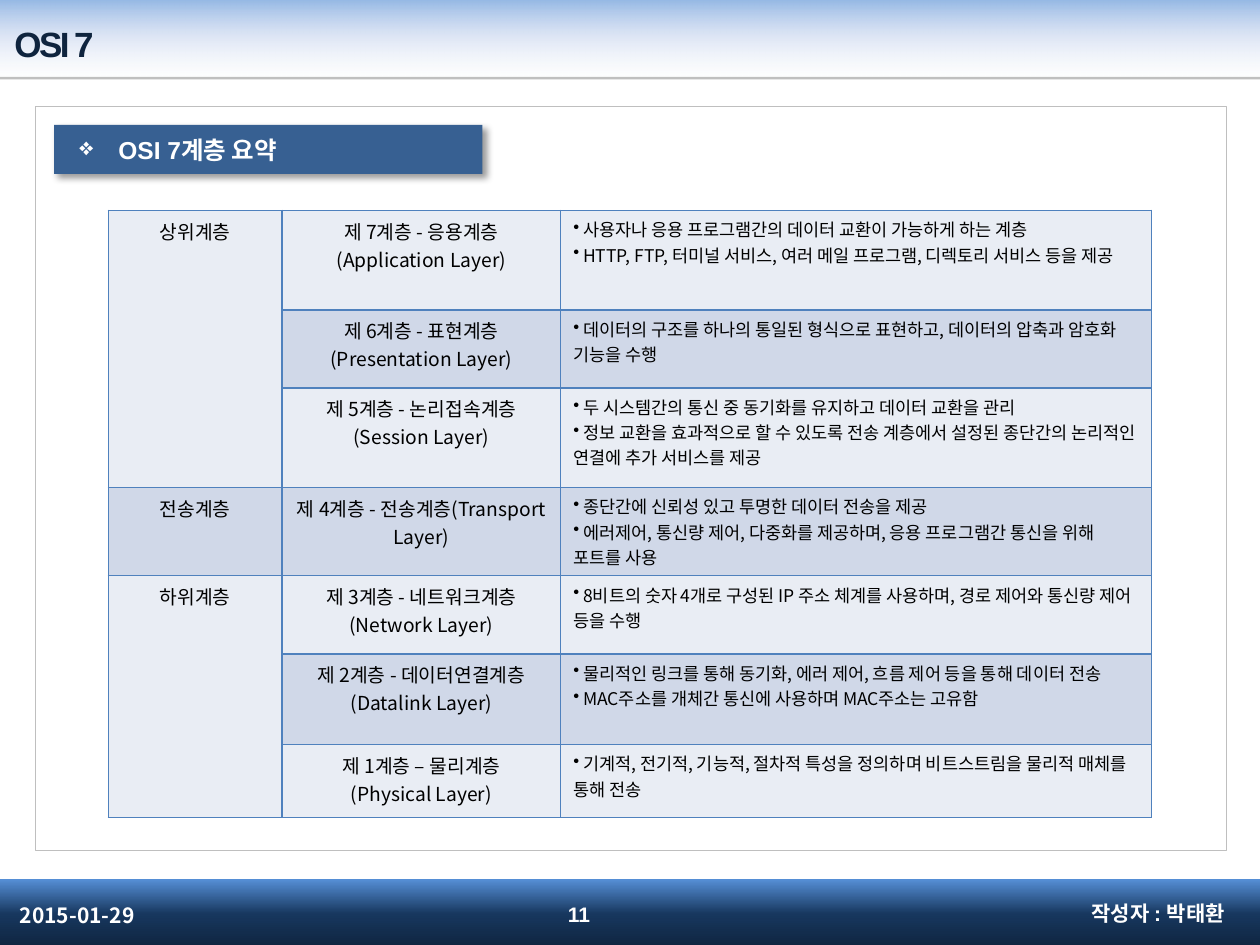
from dataclasses import dataclass

from lxml.etree import SubElement
from pptx import Presentation
from pptx.dml.color import RGBColor
from pptx.enum.shapes import MSO_SHAPE as Preset
from pptx.enum.text import MSO_ANCHOR as Anchor, PP_ALIGN as Align
from pptx.oxml import parse_xml
from pptx.oxml.ns import qn
from pptx.util import Inches, Pt


@dataclass(frozen=True)
class Theme:
    latin: str = "Arial"
    korean: str = "Noto Sans CJK KR"
    white: str = "FFFFFF"
    black: str = "000000"
    navy: str = "0F243E"
    banner: str = "376092"
    grey: str = "BFBFBF"
    border: str = "4F81BD"
    light_row: str = "E9EDF4"
    dark_row: str = "D0D8E8"
    # Gradient stops: position, colour, opacity (all but colour in percent)
    header: tuple = ((0, "8EB4E3", 100), (50, "C2D1ED", 50), (100, "E1E8F5", 0))
    footer: tuple = ((0, "558ED5", 100), (50, "17375E", 100), (100, "0F243E", 100))
    title_size: int = 20
    banner_size: int = 14
    footer_size: int = 12
    layer_size: int = 11
    detail_size: int = 10


theme = Theme()
NAMESPACE = 'xmlns:a="http://schemas.openxmlformats.org/drawingml/2006/main"'


def write_text(frame, lines, size, color, font=theme.korean, bold=False,
               align=Align.LEFT, bullet=None, indent=0, spacing=None):
    for index, line in enumerate(lines):
        paragraph = frame.paragraphs[0] if index == 0 else frame.add_paragraph()
        paragraph.alignment = align
        if bullet:
            properties = paragraph._p.get_or_add_pPr()
            properties.set("marL", str(Inches(indent)))
            properties.set("indent", str(-Inches(indent)))
            SubElement(properties, qn("a:buChar"), char=bullet)
        run = paragraph.add_run()
        run.text = line
        run.font.size = Pt(size)
        run.font.bold = bold
        run.font.name = font
        run.font.color.rgb = RGBColor.from_string(color)
        SubElement(run._r.rPr, qn("a:ea"), typeface=theme.korean)
        if spacing is not None:
            run._r.rPr.set("spc", str(round(spacing * 100)))


def add_box(left, top, width, height, fill=None, line=None):
    shape = slide.shapes.add_shape(
        Preset.RECTANGLE, Inches(left), Inches(top), Inches(width), Inches(height))
    shape.shadow.inherit = False
    if fill:
        shape.fill.solid()
        shape.fill.fore_color.rgb = RGBColor.from_string(fill)
    else:
        shape.fill.background()
    if line:
        shape.line.color.rgb = RGBColor.from_string(line)
        shape.line.width = Pt(0.25)
    else:
        shape.line.fill.background()
    return shape


presentation = Presentation()
presentation.slide_width = Inches(10)
presentation.slide_height = Inches(7.5)
slide = presentation.slides.add_slide(presentation.slide_layouts[6])

# Header and footer bands
for top, height, stops in ((-0.03, 0.66, theme.header), (6.98, 0.55, theme.footer)):
    band = add_box(-0.04, top, 10.04, height)
    stop_xml = "".join(
        f'<a:gs pos="{position * 1000}"><a:srgbClr val="{color}">'
        f'<a:alpha val="{opacity * 1000}"/></a:srgbClr></a:gs>'
        for position, color, opacity in stops)
    gradient = parse_xml(
        f'<a:gradFill {NAMESPACE} rotWithShape="1"><a:gsLst>{stop_xml}</a:gsLst>'
        '<a:lin ang="5400000" scaled="0"/></a:gradFill>')
    properties = band._element.spPr
    properties.replace(properties.find(qn("a:noFill")), gradient)

# Header rule and content frame
add_box(0, 0.61, 10, 0.02, fill=theme.grey)
add_box(0.28, 0.84, 9.45, 5.91, line=theme.grey)

# Section banner
banner = add_box(0.43, 0.99, 3.4, 0.39, fill=theme.banner)
effects = banner._element.spPr.find(qn("a:effectLst"))
effects.append(parse_xml(
    f'<a:outerShdw {NAMESPACE} blurRad="{Pt(4)}" dist="{Pt(3)}" dir="2700000" '
    f'algn="tl" rotWithShape="0"><a:srgbClr val="{theme.black}">'
    '<a:alpha val="40000"/></a:srgbClr></a:outerShdw>'))
banner.text_frame.margin_left = Inches(0.2)
banner.text_frame.vertical_anchor = Anchor.MIDDLE
write_text(banner.text_frame, ["OSI 7계층 요약"], theme.banner_size, theme.white,
           font=theme.latin, bold=True, bullet="❖", indent=0.31)

# Title and footer texts
footer_style = dict(size=theme.footer_size, color=theme.white)
labels = [
    ((-0.04, 0.11, 8.76, 0.47), " OSI 7",
     dict(size=theme.title_size, color=theme.navy, font=theme.latin, spacing=-1.5)),
    ((6.65, 7.05, 3.17, 0.4), "작성자 : 박태환",
     dict(footer_style, font=theme.latin, align=Align.RIGHT)),
    ((0.06, 7.06, 2.33, 0.4), "2015-01-29", footer_style),
    ((3.43, 7.06, 2.33, 0.39), "11",
     dict(footer_style, font=theme.latin, align=Align.CENTER)),
]
for position, text, style in labels:
    text_box = slide.shapes.add_textbox(*(Inches(value) for value in position))
    text_box.text_frame.word_wrap = True
    text_box.text_frame.vertical_anchor = Anchor.MIDDLE
    write_text(text_box.text_frame, [text], bold=True, **style)

# Layer table: group, layer name, details
layers = [
    ("상위계층", ["제 7계층 - 응용계층(Application Layer)"],
     [" 사용자나 응용 프로그램간의 데이터 교환이 가능하게 하는 계층",
      " HTTP, FTP, 터미널 서비스, 여러 메일 프로그램, 디렉토리 서비스 등을 제공"]),
    (None, ["제 6계층 - 표현계층(Presentation Layer)"],
     [" 데이터의 구조를 하나의 통일된 형식으로 표현하고, 데이터의 압축과 암호화 기능을 수행"]),
    (None, ["제 5계층 - 논리접속계층(Session Layer)"],
     [" 두 시스템간의 통신 중 동기화를 유지하고 데이터 교환을 관리",
      " 정보 교환을 효과적으로 할 수 있도록 전송 계층에서 설정된 종단간의 논리적인 연결에 "
      "추가 서비스를 제공"]),
    ("전송계층", ["제 4계층 - 전송계층(Transport Layer)"],
     [" 종단간에 신뢰성 있고 투명한 데이터 전송을 제공",
      " 에러제어, 통신량 제어, 다중화를 제공하며, 응용 프로그램간 통신을 위해 포트를 사용"]),
    ("하위계층", ["제 3계층 - 네트워크계층(Network Layer)"],
     [" 8비트의 숫자 4개로 구성된 IP 주소 체계를 사용하며, 경로 제어와 통신량 제어 등을 수행"]),
    (None, ["제 2계층 - 데이터연결계층(Datalink Layer)"],
     [" 물리적인 링크를 통해 동기화, 에러 제어, 흐름 제어 등을 통해 데이터 전송",
      " MAC주소를 개체간 통신에 사용하며 MAC주소는 고유함"]),
    (None, ["제 1계층 – 물리계층", "(Physical Layer)"],
     [" 기계적, 전기적, 기능적, 절차적 특성을 정의하며 비트스트림을 물리적 매체를 통해 전송"]),
]
column_widths = [1.38, 2.21, 4.69]
row_heights = [0.79, 0.62, 0.79, 0.7, 0.62, 0.72, 0.58]
table = slide.shapes.add_table(
    len(layers), len(column_widths), Inches(0.86), Inches(1.67),
    Inches(sum(column_widths)), Inches(sum(row_heights))).table
for column, width in zip(table.columns, column_widths):
    column.width = Inches(width)
for row, height in zip(table.rows, row_heights):
    row.height = Inches(height)
for first_row, last_row in ((0, 2), (4, 6)):
    table.cell(first_row, 0).merge(table.cell(last_row, 0))

name_style = dict(size=theme.layer_size, color=theme.black, align=Align.CENTER)
detail_style = dict(size=theme.detail_size, color=theme.black, bullet="•")
for row_index, (group, names, details) in enumerate(layers):
    row_fill = theme.dark_row if row_index % 2 else theme.light_row
    contents = (([group] if group else [], name_style),
                (names, name_style), (details, detail_style))
    for column_index, (lines, style) in enumerate(contents):
        cell = table.cell(row_index, column_index)
        cell.fill.solid()
        cell.fill.fore_color.rgb = RGBColor.from_string(row_fill)
        write_text(cell.text_frame, lines, **style)
        for index, side in enumerate(("lnL", "lnR", "lnT", "lnB")):
            cell._tc.get_or_add_tcPr().insert(index, parse_xml(
                f'<a:{side} {NAMESPACE} w="{Pt(1)}"><a:solidFill>'
                f'<a:srgbClr val="{theme.border}"/></a:solidFill></a:{side}>'))

presentation.save("out.pptx")
